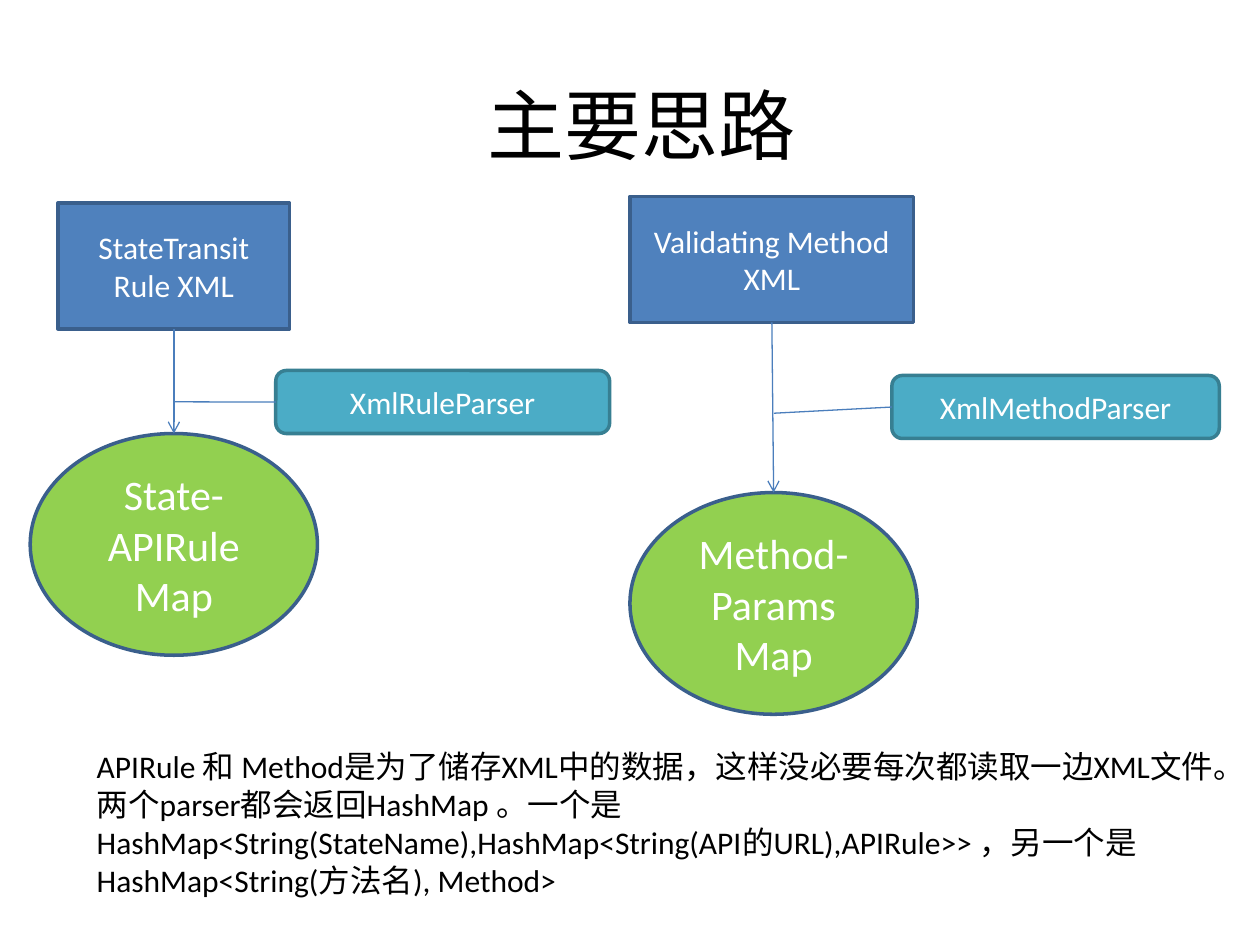
from dataclasses import dataclass
from lxml import etree
from pptx import Presentation
from pptx.dml.color import RGBColor
from pptx.enum.shapes import MSO_CONNECTOR, MSO_SHAPE
from pptx.enum.text import MSO_ANCHOR, PP_ALIGN
from pptx.oxml.ns import qn
from pptx.util import Cm, Pt

RECT, ROUND, OVAL = MSO_SHAPE.RECTANGLE, MSO_SHAPE.ROUNDED_RECTANGLE, MSO_SHAPE.OVAL
LINE = MSO_CONNECTOR.STRAIGHT
TOP, MIDDLE = MSO_ANCHOR.TOP, MSO_ANCHOR.MIDDLE
LEFT, CENTER = PP_ALIGN.LEFT, PP_ALIGN.CENTER
# Connection sites of the preset shapes
HEAD, SIDE, FOOT = 0, 1, 2


@dataclass(frozen=True)
class Theme:
    font: str = "Calibri"
    ink: str = "000000"
    light: str = "FFFFFF"
    blue: str = "4F81BD"
    green: str = "92D050"
    teal: str = "4BACC6"
    edge: str = "3A5F8C"
    rim: str = "377F92"
    wire: str = "4B7EBC"
    title: int = 44
    large: int = 24
    body: int = 18


class Board:
    def __init__(self, slide, theme):
        self.slide = slide
        self.theme = theme

    def label(self, frame, lines, size, color, align, anchor):
        frame.word_wrap = True
        frame.vertical_anchor = anchor
        for i, line in enumerate(lines):
            para = frame.paragraphs[0] if i == 0 else frame.add_paragraph()
            para.alignment = align
            run = para.add_run()
            run.text = line
            run.font.size = Pt(size)
            run.font.name = self.theme.font
            run.font.color.rgb = RGBColor.from_string(color)

    def text(self, area, line, size, align=LEFT, anchor=TOP):
        box = self.slide.shapes.add_textbox(*map(Cm, area))
        self.label(box.text_frame, [line], size, self.theme.ink, align, anchor)

    def node(self, kind, area, lines, fill, edge, size):
        shape = self.slide.shapes.add_shape(kind, *map(Cm, area))
        shape.shadow.inherit = False
        shape.fill.solid()
        shape.fill.fore_color.rgb = RGBColor.from_string(fill)
        shape.line.color.rgb = RGBColor.from_string(edge)
        shape.line.width = Pt(2)
        self.label(shape.text_frame, lines, size, self.theme.light, CENTER, MIDDLE)
        return shape

    def link(self, start, site, end=None, joint=(0, 0)):
        """Join a shape to the head of another, or to a joint on a line."""
        x, y = map(Cm, joint)
        wire = self.slide.shapes.add_connector(LINE, x, y, x, y)
        wire.begin_connect(start, site)
        wire.line.color.rgb = RGBColor.from_string(self.theme.wire)
        wire.line.width = Pt(0.75)
        props = wire._element.spPr
        if end is not None:
            wire.end_connect(end, HEAD)
            tip = etree.SubElement(props.find(qn("a:ln")), qn("a:tailEnd"))
            tip.set("type", "arrow")
        etree.SubElement(props, qn("a:effectLst"))


deck = Presentation()
deck.slide_width, deck.slide_height = Cm(25.4), Cm(19.05)
look = Theme()
board = Board(deck.slides.add_slide(deck.slide_layouts[6]), look)

# Title
board.text((1.5, 0.91, 22.86, 3.18), "主要思路", look.title, CENTER, MIDDLE)

# Flows: source file, parser, resulting map, joint of parser and arrow
flows = [
    ((1.17, 4.09, 4.67, 2.54), ["StateTransit Rule XML"],
     (5.56, 7.47, 6.73, 1.27), "XmlRuleParser",
     (0.61, 8.74), ["State-APIRule", "Map"], (3.53, 8.1)),
    ((12.7, 3.96, 5.72, 2.54), ["Validating Method", "XML"],
     (17.98, 7.57, 6.6, 1.27), "XmlMethodParser",
     (12.7, 9.93), ["Method-Params", "Map"], (15.6, 8.33)),
]
for file_area, file_text, tool_area, tool_text, spot, map_text, joint in flows:
    source = board.node(RECT, file_area, file_text, look.blue, look.edge, look.body)
    result = board.node(OVAL, (*spot, 5.79, 4.47), map_text,
                        look.green, look.edge, look.large)
    parser = board.node(ROUND, tool_area, [tool_text], look.teal, look.rim, look.body)
    board.link(source, FOOT, result)
    board.link(parser, SIDE, joint=joint)

# Explanation
board.text(
    (1.7, 14.94, 23.19, 3.33),
    "APIRule 和 Method是为了储存XML中的数据，这样没必要每次都读取一边XML文件。"
    "两个parser都会返回HashMap 。一个是"
    "HashMap<String(StateName),HashMap<String(API的URL),APIRule>> ，"
    "另一个是HashMap<String(方法名), Method>",
    look.body)

deck.save("out.pptx")
